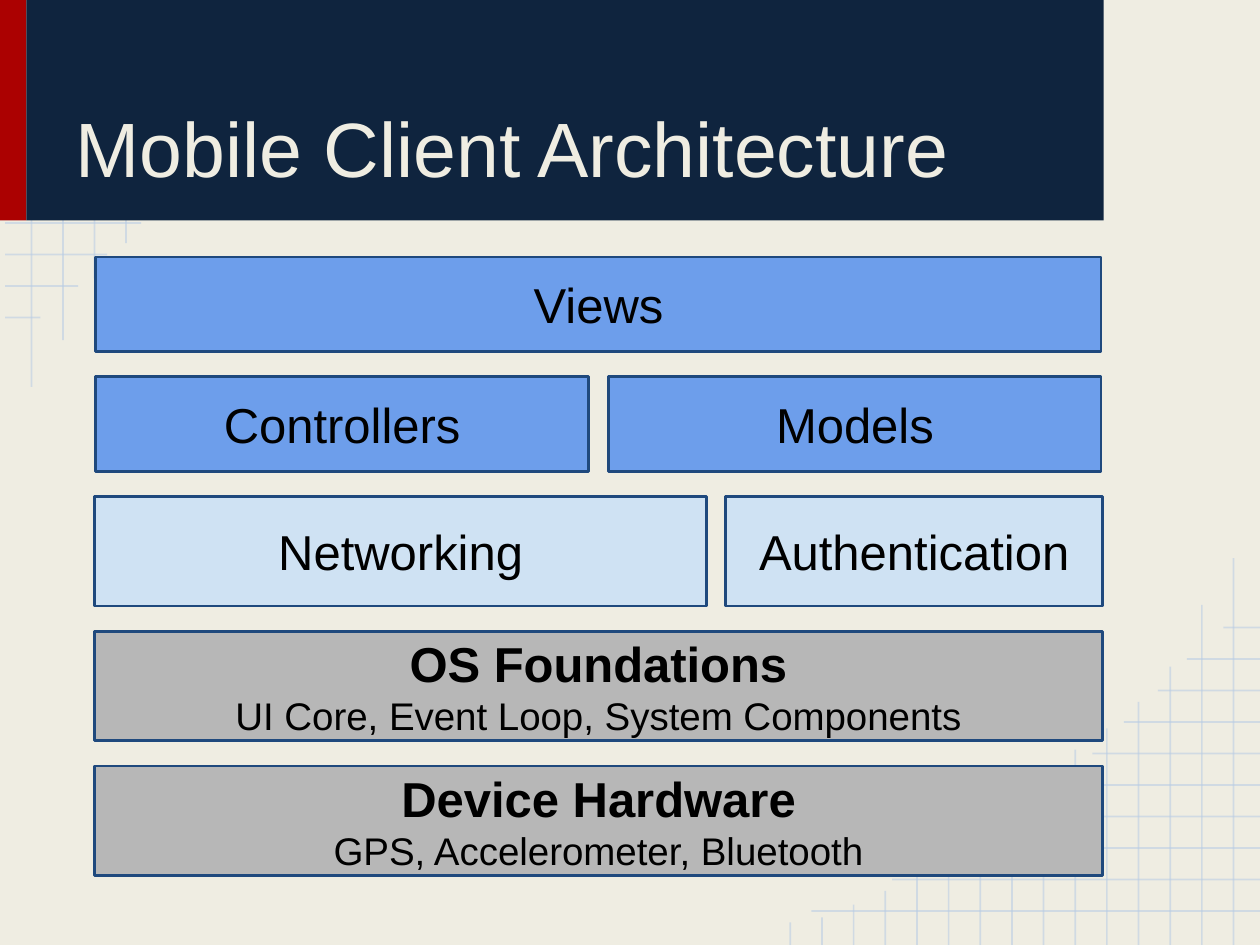
import pptx
import pptx.util
import pptx.dml.color
import pptx.enum.shapes
import pptx.enum.text
import pptx.oxml.ns
from dataclasses import dataclass
from lxml import etree


@dataclass(frozen=True)
class Theme:
    paper: str = "EFEDE2"
    navy: str = "0F243E"
    red: str = "AB0101"
    grid: str = "B7CCE4"
    edge: str = "1F497D"
    ink: str = "000000"
    blue: str = "6D9EEB"
    pale: str = "CFE2F3"
    grey: str = "B7B7B7"
    font: str = "Arial"
    title: int = 44
    label: int = 28
    note: int = 22


def rgb(code):
    return pptx.dml.color.RGBColor.from_string(code)


class Deck:
    cols, rows = 40, 30

    def __init__(self, theme):
        self.theme = theme
        self.file = pptx.Presentation()
        self.file.slide_width = pptx.util.Inches(10)
        self.file.slide_height = pptx.util.Inches(7.5)
        self.slide = self.file.slides.add_slide(self.file.slide_layouts[5])
        back = self.slide.background.fill
        back.solid()
        back.fore_color.rgb = rgb(theme.paper)

    def place(self, x, y):
        return (round(self.file.slide_width * x / self.cols),
                round(self.file.slide_height * y / self.rows))

    def line(self, x1, y1, x2, y2):
        line = self.slide.shapes.add_connector(
            pptx.enum.shapes.MSO_CONNECTOR.STRAIGHT,
            *self.place(x1, y1), *self.place(x2, y2))
        line.line.width = pptx.util.Pt(1)
        line.line.color.rgb = rgb(self.theme.grid)
        qn = pptx.oxml.ns.qn
        props = line.element.spPr
        tint = next(props.iter(qn("a:srgbClr")))
        etree.SubElement(tint, qn("a:alpha"), val="54000")
        etree.SubElement(props, qn("a:effectLst"))

    def block(self, x, y, wide, high, fill):
        block = self.slide.shapes.add_shape(
            pptx.enum.shapes.MSO_SHAPE.RECTANGLE,
            *self.place(x, y), *self.place(wide, high))
        block.shadow.inherit = False
        block.fill.solid()
        block.fill.fore_color.rgb = rgb(fill)
        block.line.fill.background()
        return block

    def frame(self, shape, anchor):
        frame = shape.text_frame
        frame.word_wrap = True
        frame.auto_size = pptx.enum.text.MSO_AUTO_SIZE.NONE
        frame.vertical_anchor = anchor
        inset = pptx.util.Inches(0.1)
        frame.margin_left = frame.margin_right = inset
        frame.margin_top = frame.margin_bottom = inset
        return frame

    def style(self, para, size, color, align, bold=False):
        para.alignment = align
        para.font.name = self.theme.font
        para.font.size = pptx.util.Pt(size)
        para.font.color.rgb = rgb(color)
        para.font.bold = bold

    def title(self, text, x, y, wide, high):
        title = self.slide.shapes.title
        title.element.getparent().append(title.element)
        title.left, title.top = self.place(x, y)
        title.width, title.height = self.place(wide, high)
        frame = self.frame(title, pptx.enum.text.MSO_ANCHOR.BOTTOM)
        frame.text = text
        self.style(frame.paragraphs[0], self.theme.title, self.theme.paper,
                   pptx.enum.text.PP_ALIGN.LEFT)

    def layer(self, x, y, wide, high, fill, text, note=None):
        block = self.block(x, y, wide, high, fill)
        block.line.color.rgb = rgb(self.theme.edge)
        block.line.width = pptx.util.Pt(1.5)
        frame = self.frame(block, pptx.enum.text.MSO_ANCHOR.MIDDLE)
        mid = pptx.enum.text.PP_ALIGN.CENTER
        frame.text = text
        self.style(frame.paragraphs[0], self.theme.label, self.theme.ink,
                   mid, note is not None)
        if note:
            para = frame.add_paragraph()
            para.text = note
            self.style(para, self.theme.note, self.theme.ink, mid)


def main():
    theme = Theme()
    deck = Deck(theme)

    for i, end in enumerate([4.48, 3.4, 2.48, 1.28]):
        deck.line(0.16, 7.08 + i, end, 7.08 + i)
    for i, end in enumerate([12.28, 10.8, 8.84, 7.72], 1):
        deck.line(i, 0, i, end)

    starts = [25.76, 28.32, 30.52, 31.84, 33.48,
              34.68, 35.68, 36.76, 37.68, 38.84]
    for i, start in enumerate(starts):
        deck.line(start, 28.92 - i, deck.cols, 28.92 - i)
    tops = [17.72, 19.2, 21.16, 22.28, 23.12, 23.8, 24.76, 25.4,
            26.16, 26.72, 27.44, 28.28, 28.72, 29.12, 29.28]
    for i, top in enumerate(tops):
        x = 39.16 - 1.005 * i
        deck.line(x, top, x, deck.rows)

    deck.block(0, 0, 0.84, 7, theme.red)
    deck.block(0.84, 0, 34.2, 7, theme.navy)
    deck.title("Mobile Client Architecture", 2, 0.6, 32, 5.92)

    stack = [
        (3, theme.blue, [(3.04, 31.92, "Views")]),
        (3, theme.blue, [(3.04, 15.64, "Controllers"),
                         (19.32, 15.64, "Models")]),
        (3.48, theme.pale, [(3, 19.44, "Networking"),
                            (23.04, 11.96, "Authentication")]),
        (3.48, theme.grey, [(3, 32, "OS Foundations",
                             "UI Core, Event Loop, System Components")]),
        (3.48, theme.grey, [(3, 32, "Device Hardware",
                             "GPS, Accelerometer, Bluetooth")]),
    ]
    y, gap = 8.16, 0.8
    for high, fill, parts in stack:
        for x, wide, *text in parts:
            deck.layer(x, y, wide, high, fill, *text)
        y += high + gap

    deck.file.save("out.pptx")


if __name__ == "__main__":
    main()
